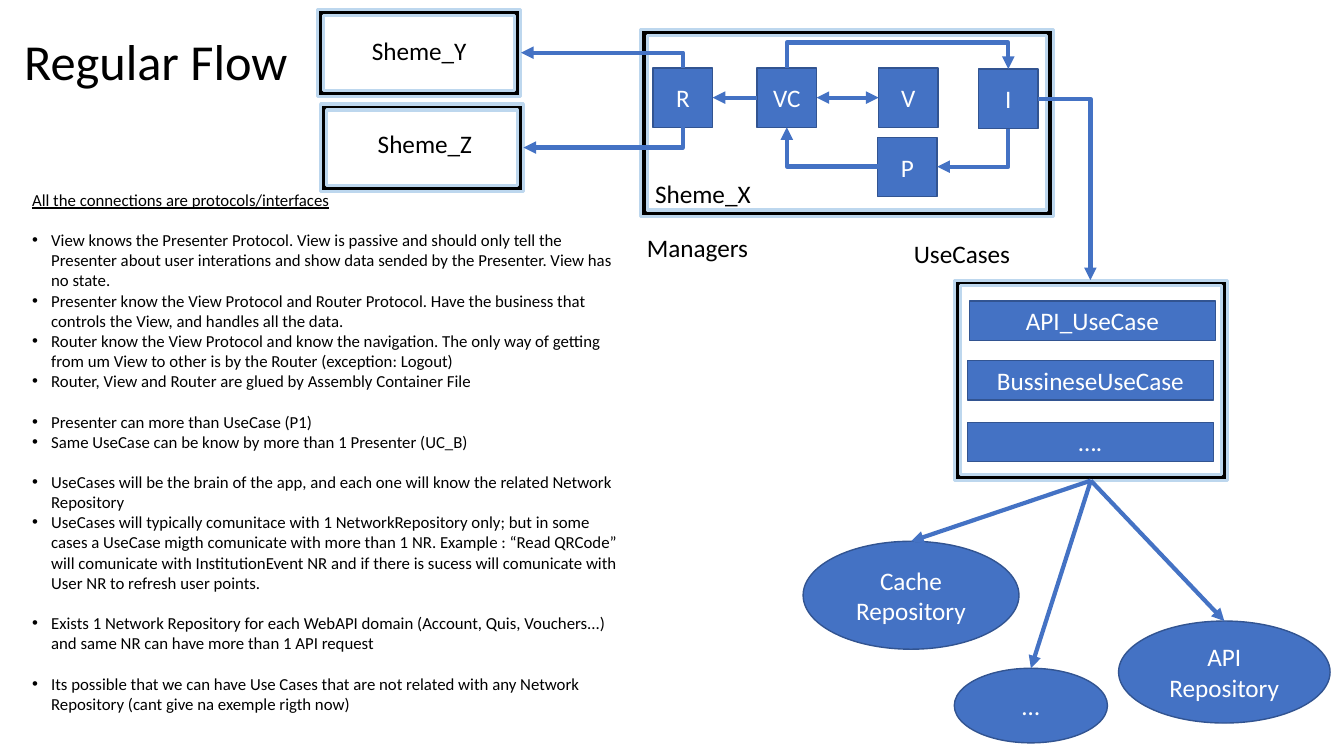
"""Builds the Regular Flow architecture slide: modules, use cases and repositories."""
from lxml import etree
from pptx import Presentation
from pptx.dml.color import RGBColor
from pptx.enum.shapes import MSO_CONNECTOR, MSO_SHAPE
from pptx.enum.text import MSO_ANCHOR, PP_ALIGN
from pptx.oxml.ns import qn
from pptx.util import Cm, Pt

RECT, OVAL, FRAME = MSO_SHAPE.RECTANGLE, MSO_SHAPE.OVAL, MSO_SHAPE.FRAME
STRAIGHT, ELBOW = MSO_CONNECTOR.STRAIGHT, MSO_CONNECTOR.ELBOW
CENTER, LEFT, MIDDLE, TOP_ANCHOR = PP_ALIGN.CENTER, PP_ALIGN.LEFT, MSO_ANCHOR.MIDDLE, MSO_ANCHOR.TOP
TOP_SIDE, LEFT_SIDE, BOTTOM_SIDE, RIGHT_SIDE = range(4)
BLUE = RGBColor(0x44, 0x72, 0xC4)
DARK_BLUE = RGBColor(0x32, 0x54, 0x91)
PALE_BLUE = RGBColor(0xBD, 0xD7, 0xEE)
BLACK = RGBColor(0, 0, 0)
WHITE = RGBColor(0xFF, 0xFF, 0xFF)

prs = Presentation()
prs.slide_width, prs.slide_height = Cm(33.87), Cm(19.05)
s = prs.slides.add_slide(prs.slide_layouts[6])


def write(p, text, color, size=18, underline=False):
    r = p.add_run()
    r.text = text
    r.font.color.rgb = color
    font_format = {"name": "Calibri", "size": Pt(size), "underline": underline}
    for key, value in font_format.items():
        setattr(r.font, key, value)


def style_arrow(sp, both_ends=False):
    sp.line.color.rgb = BLUE
    sp.line.width = Pt(3)
    line = sp.line._get_or_add_ln()
    for end in ["headEnd", "tailEnd"] if both_ends else ["tailEnd"]:
        etree.SubElement(line, qn("a:" + end), type="triangle")
    etree.SubElement(sp._element.spPr, qn("a:effectLst"))


SQUARE = 1.5
BAR = (6.2, 0.99)
blocks = [
    ("VC", RECT, 19.08, 1.71, SQUARE, SQUARE),
    ("I", RECT, 24.66, 1.74, SQUARE, SQUARE),
    ("P", RECT, 22.12, 3.46, SQUARE, SQUARE),
    ("R", RECT, 16.46, 1.71, SQUARE, SQUARE),
    ("V", RECT, 22.14, 1.71, SQUARE, SQUARE),
    ("API_UseCase", RECT, 24.43, 7.59, *BAR),
    ("BussineseUseCase", RECT, 24.38, 9.09, *BAR),
    ("….", RECT, 24.38, 10.64, *BAR),
    ("Cache Repository", OVAL, 20.24, 13.64, 5.44, 2.72),
    ("API Repository", OVAL, 28.19, 15.65, 5.33, 2.57),
    ("…", OVAL, 24.05, 16.84, 3.86, 1.88),
]
nodes = {}
for text, kind, *box in blocks:
    sp = s.shapes.add_shape(kind, *map(Cm, box))
    sp.shadow.inherit = False
    sp.fill.solid()
    sp.fill.fore_color.rgb = BLUE
    sp.line.color.rgb = DARK_BLUE
    sp.line.width = Pt(1)
    tf = sp.text_frame
    tf.word_wrap = True
    tf.vertical_anchor = MIDDLE
    tf.paragraphs[0].alignment = CENTER
    write(tf.paragraphs[0], text, WHITE)
    nodes[text] = sp

frames = [
    ("Sheme_X", 0.035, 16.15, 0.74, 10.39, 4.72),
    ("Sheme_Y", 0.069, 8, 0.23, 5.11, 2.21),
    ("Sheme_Z", 0.069, 8.08, 2.62, 5.11, 2.21),
    ("UseCases", 0.029, 24.05, 7.06, 6.88, 5.05),
]
for name, thickness, *box in frames:
    sp = s.shapes.add_shape(FRAME, *map(Cm, box))
    sp.shadow.inherit = False
    sp.adjustments[0] = thickness
    sp.fill.solid()
    sp.fill.fore_color.rgb = BLACK
    sp.line.color.rgb = PALE_BLUE
    sp.line.width = Pt(2.25)
    nodes[name] = sp

labels = [
    ("Regular Flow", 36, 0.36, 0.64, 7.21, 1.8),
    ("Sheme_X", 18, 16.26, 4.37, 2.95, 1.02),
    ("Sheme_Y", 18, 9.12, 0.76, 2.95, 1.02),
    ("Sheme_Z", 18, 9.27, 3.1, 2.95, 1.02),
    ("Managers", 18, 16.05, 5.74, 3.1, 1.02),
    ("UseCases", 18, 22.78, 5.87, 2.97, 1.02),
]
for text, size, *box in labels:
    tf = s.shapes.add_textbox(*map(Cm, box)).text_frame
    tf.word_wrap = False
    write(tf.paragraphs[0], text, BLACK, size)

straight_arrows = [
    ("VC", LEFT_SIDE, "R", RIGHT_SIDE, False),
    ("V", LEFT_SIDE, "VC", RIGHT_SIDE, True),
    ("UseCases", BOTTOM_SIDE, "Cache Repository", TOP_SIDE, False),
    ("UseCases", BOTTOM_SIDE, "API Repository", TOP_SIDE, False),
    ("UseCases", BOTTOM_SIDE, "…", TOP_SIDE, False),
]
for start, start_side, end, end_side, both_ends in straight_arrows:
    sp = s.shapes.add_connector(STRAIGHT, 0, 0, 0, 0)
    sp.begin_connect(nodes[start], start_side)
    sp.end_connect(nodes[end], end_side)
    style_arrow(sp, both_ends)

one_bend_across = [
    (26.16, 2.49, 27.48, 7.06),
    (22.12, 4.2, 19.83, 3.21),
]
for ends in one_bend_across:
    sp = s.shapes.add_connector(ELBOW, *map(Cm, ends))
    sp._element.spPr.prstGeom.set("prst", "bentConnector2")
    style_arrow(sp)

turned_elbows = [
    (25.41, 3.24, 23.62, 4.2, 90, None, "bentConnector2"),
    (17.21, 1.71, 13.13, 1.33, 270, "flipV", "bentConnector2"),
    (17.21, 3.21, 13.19, 3.72, 90, None, "bentConnector2"),
    (19.83, 1.71, 25.41, 1.74, 270, "flipH", "bentConnector3"),
]
for x1, y1, x2, y2, angle, flip, preset in turned_elbows:
    width, height = abs(y2 - y1), abs(x2 - x1)
    left, top = (x1 + x2 - width) / 2, (y1 + y2 - height) / 2
    sp = s.shapes.add_connector(ELBOW, Cm(left), Cm(top), Cm(left + width), Cm(top + height))
    xfrm = sp._element.spPr.find(qn("a:xfrm"))
    xfrm.set("rot", str(angle * 60000))
    if flip:
        xfrm.set(flip, "1")
    geometry = sp._element.spPr.prstGeom
    geometry.set("prst", preset)
    if preset == "bentConnector3":
        bend = round(-0.64 / width * 100000)
        etree.SubElement(geometry.get_or_add_avLst(), qn("a:gd"), name="adj1", fmla=f"val {bend}")
    style_arrow(sp)

note_groups = [
    ["View knows the Presenter Protocol. View is passive and should only tell the Presenter about user "
     "interations and show data sended by the Presenter. View has no state.",
     "Presenter know the View Protocol and Router Protocol. Have the business that controls the View, "
     "and handles all the data.",
     "Router know the View Protocol and know the navigation. The only way of getting from um View to "
     "other is by the Router (exception: Logout)",
     "Router, View and Router are glued by Assembly Container File"],
    ["Presenter can more than UseCase (P1)",
     "Same UseCase can be know by more than 1 Presenter (UC_B)"],
    ["UseCases will be the brain of the app, and each one will know the related Network Repository",
     "UseCases will typically comunitace with 1 NetworkRepository only; but in some cases a UseCase "
     "migth comunicate with more than 1 NR. Example : “Read QRCode” will comunicate with "
     "InstitutionEvent NR and if there is sucess will comunicate with User NR to refresh user points."],
    ["Exists 1 Network Repository for each WebAPI domain (Account, Quis, Vouchers...) and same NR can "
     "have more than 1 API request"],
    ["Its possible that we can have Use Cases that are not related with any Network Repository (cant "
     "give na exemple rigth now)"],
]
tf = s.shapes.add_textbox(Cm(0.56), Cm(4.65), Cm(15.34), Cm(13.59)).text_frame
tf.word_wrap = True
tf.vertical_anchor = TOP_ANCHOR
write(tf.paragraphs[0], "All the connections are protocols/interfaces", BLACK, 12, True)
for group in note_groups:
    for i, note in enumerate(group):
        p = tf.add_paragraph()
        p.alignment = LEFT
        p.space_before = Pt(0 if i else 14.4)
        write(p, note, BLACK, 12)
        pPr = p._p.get_or_add_pPr()
        pPr.set("marL", str(Cm(0.48)))
        pPr.set("indent", str(-Cm(0.48)))
        etree.SubElement(pPr, qn("a:buFont"), typeface="Arial")
        etree.SubElement(pPr, qn("a:buChar"), char="•")

prs.save("out.pptx")
